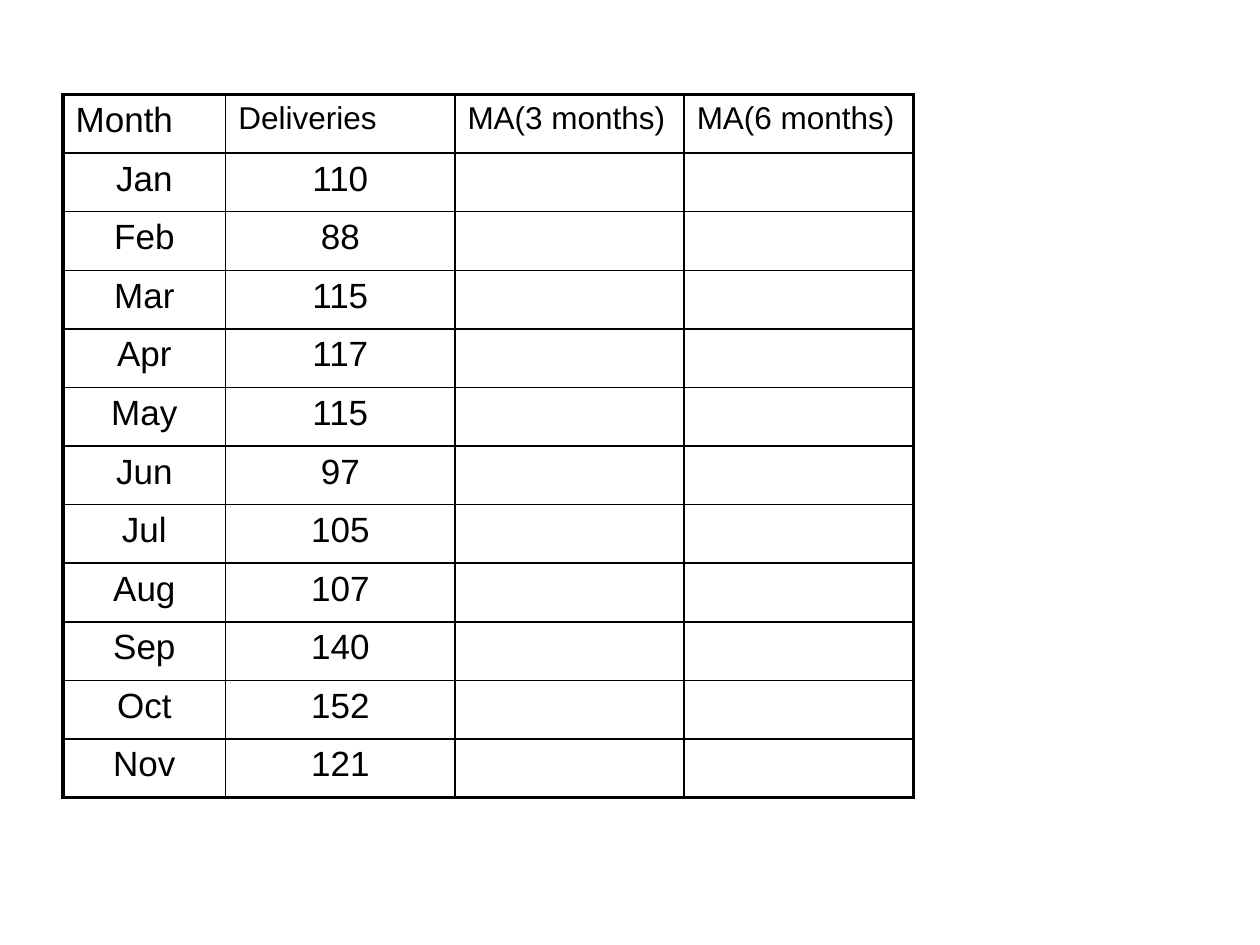
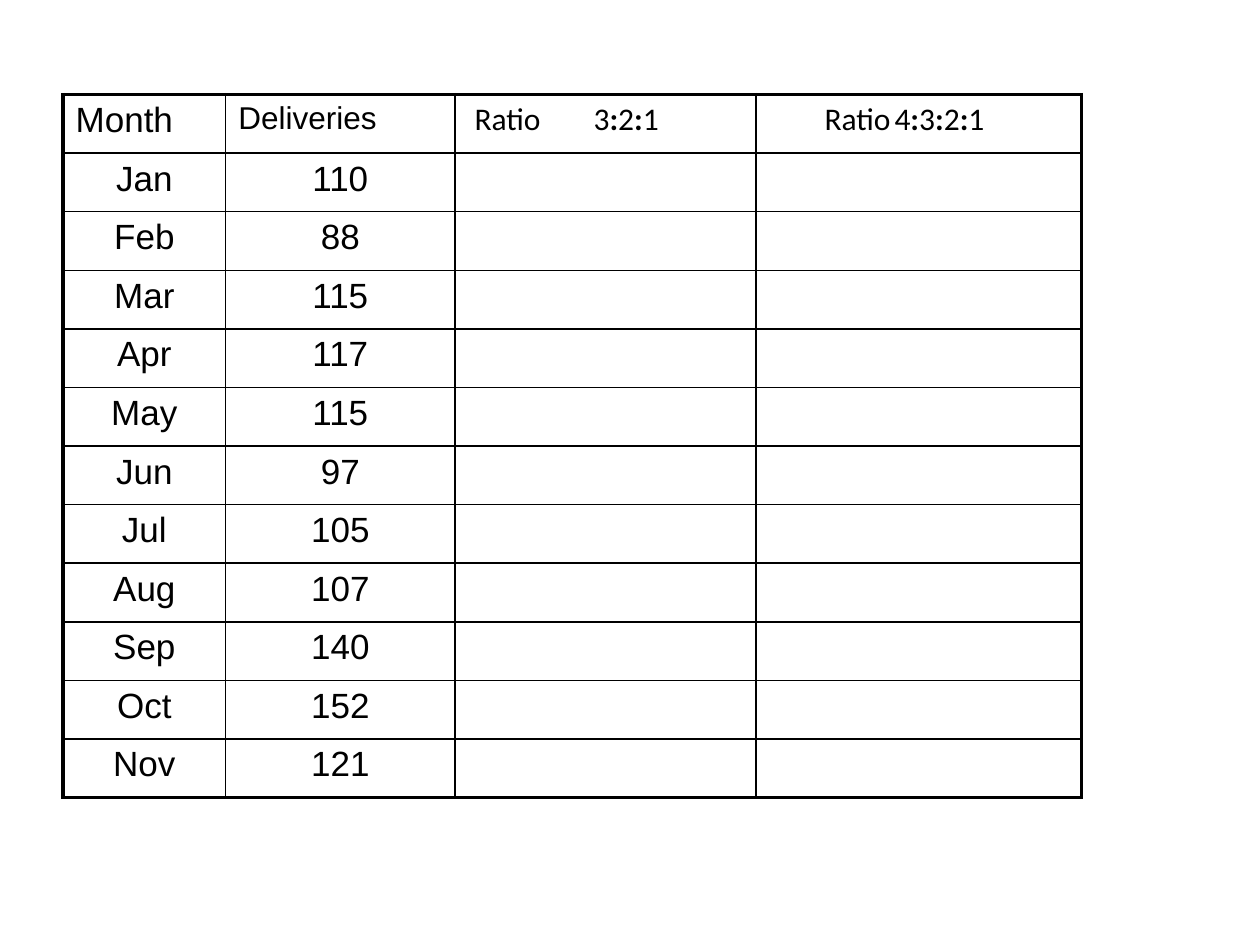
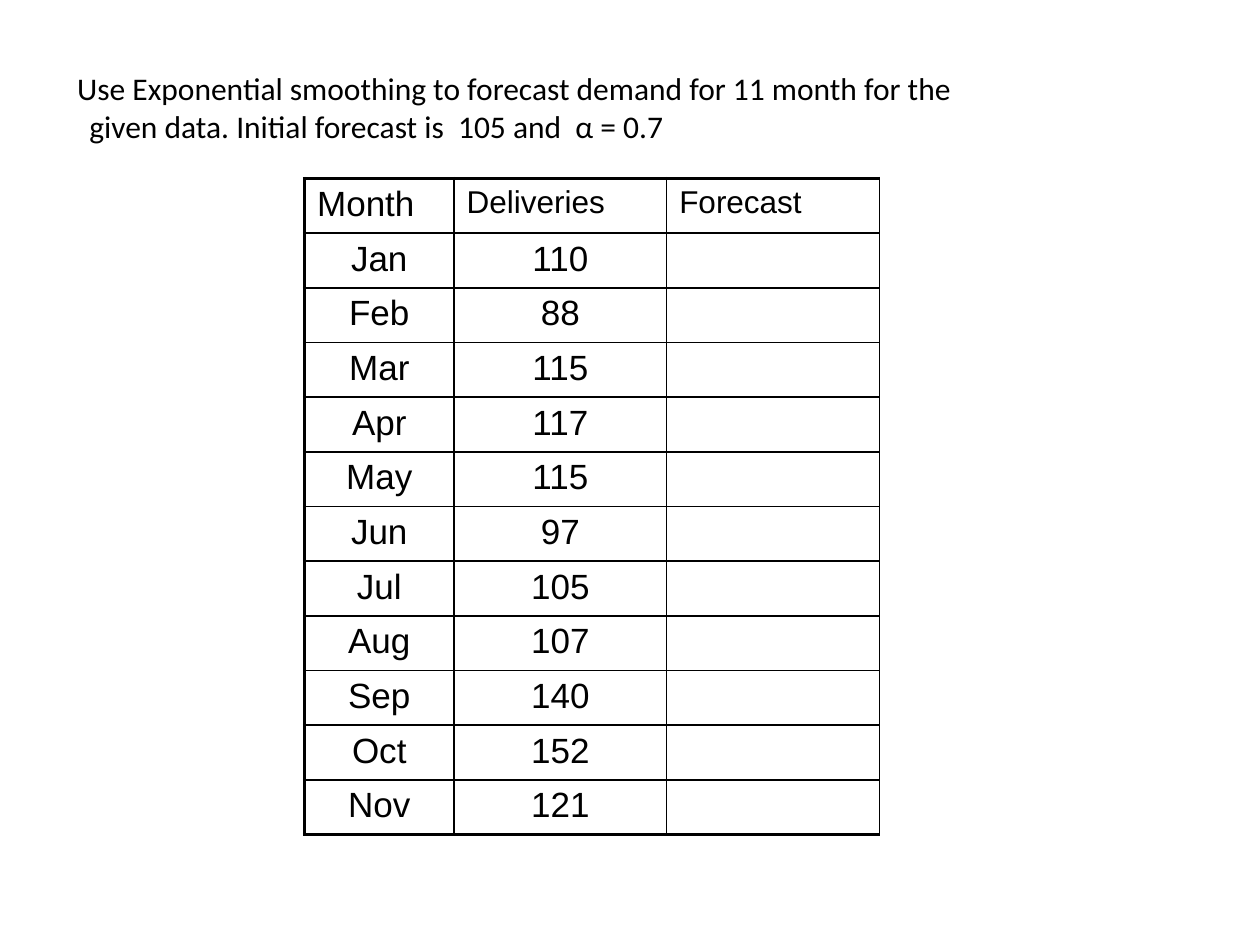
from itertools import groupby

from lxml import etree
from pptx import Presentation
from pptx.dml.color import RGBColor
from pptx.enum.text import PP_ALIGN
from pptx.oxml.ns import qn
from pptx.util import Pt

PX = 6350  # EMU in one px, 144 px to the inch
LEFT, CENTER = PP_ALIGN.LEFT, PP_ALIGN.CENTER
BLACK = "000000"
THIN, THICK = 1, 2.25

DELIVERIES = {
    "Jan": 110, "Feb": 88, "Mar": 115, "Apr": 117, "May": 115, "Jun": 97,
    "Jul": 105, "Aug": 107, "Sep": 140, "Oct": 152, "Nov": 121,
}
MONTH = ("Month", dict(size=20))
DELIVERED = ("Deliveries", {})
RATIO = dict(font="Calibri", bold_mark=":")

# One entry per page: place, column widths, header cells, outer right border
TABLES = [
    dict(left=72, top=108, height=804, widths=[186, 262, 262, 262], right=THICK,
         headers=[MONTH, DELIVERED, ("MA(3 months)", {}), ("MA(6 months)", {})]),
    dict(left=72, top=108, height=804, widths=[186, 262, 344, 372], right=THICK,
         headers=[MONTH, DELIVERED,
                  ("Ratio\t3:2:1", dict(RATIO, indent=8, tab=125)),
                  ("Ratio\t4:3:2:1", dict(RATIO, indent=64, tab=155))]),
    dict(left=348, top=204, height=750, widths=[171, 243, 243], right=THIN,
         headers=[MONTH, DELIVERED, ("Forecast", {})]),
]


def write(frame, text, font="Arial", size=18, align=LEFT, margin=0, indent=0,
          tab=None, bold_mark=None):
    """Fill the first paragraph; characters equal to bold_mark become bold."""
    para = frame.paragraphs[0]
    para.alignment = align
    layout = para._p.get_or_add_pPr()
    layout.set("marL", str(margin * PX))
    layout.set("indent", str(indent * PX))
    if tab:
        stops = etree.SubElement(layout, qn("a:tabLst"))
        etree.SubElement(stops, qn("a:tab"), pos=str(tab * PX), algn="l")
    for bold, letters in groupby(text, lambda letter: letter == bold_mark):
        span = para.add_run()
        span.text = "".join(letters)
        span.font.name = font
        span.font.size = Pt(size)
        span.font.bold = bold
        span.font.color.rgb = RGBColor.from_string(BLACK)


def set_borders(cell, **widths):
    """Draw black cell borders; widths are points keyed L, R, T and B."""
    properties = cell._tc.get_or_add_tcPr()
    for position, (side, width) in enumerate(widths.items()):
        line = etree.Element(qn("a:ln" + side), w=str(Pt(width)))
        fill = etree.SubElement(line, qn("a:solidFill"))
        etree.SubElement(fill, qn("a:srgbClr"), val=BLACK)
        properties.insert(position, line)


deck = Presentation()
deck.slide_width = 1440 * PX
deck.slide_height = 1080 * PX
blank = deck.slide_layouts[6]

for plan in TABLES:
    page = deck.slides.add_slide(blank)
    widths, headers = plan["widths"], plan["headers"]
    last_row, last_column = len(DELIVERIES), len(widths) - 1

    # Grid
    table = page.shapes.add_table(
        last_row + 1, len(widths), plan["left"] * PX, plan["top"] * PX,
        sum(widths) * PX, plan["height"] * PX).table
    table.first_row = table.horz_banding = False
    for column, width in zip(table.columns, widths):
        column.width = width * PX
    for row_number, row in enumerate(table.rows):
        row.height = plan["height"] * PX // (last_row + 1)
        for column_number, cell in enumerate(row.cells):
            cell.fill.background()
            set_borders(
                cell,
                L=THICK if column_number == 0 else THIN,
                R=plan["right"] if column_number == last_column else THIN,
                T=THICK if row_number == 0 else THIN,
                B=THICK if row_number == last_row else THIN)

    # Header row
    for column_number, (text, style) in enumerate(headers):
        write(table.cell(0, column_number).text_frame, text, **style)

    # Months and their deliveries
    for row_number, record in enumerate(DELIVERIES.items(), start=1):
        for column_number, value in enumerate(record):
            write(table.cell(row_number, column_number).text_frame, str(value),
                  size=20, align=CENTER)

# Task above the last table
box = page.shapes.add_textbox(33 * PX, 72 * PX, 1083 * PX, 144 * PX)
box.text_frame.word_wrap = True
write(box.text_frame,
      "Use Exponential smoothing to forecast demand for 11 month for the "
      "given data. Initial forecast is  105 and  α = 0.7",
      font="Calibri", margin=55, indent=-14)

deck.save("out.pptx")
